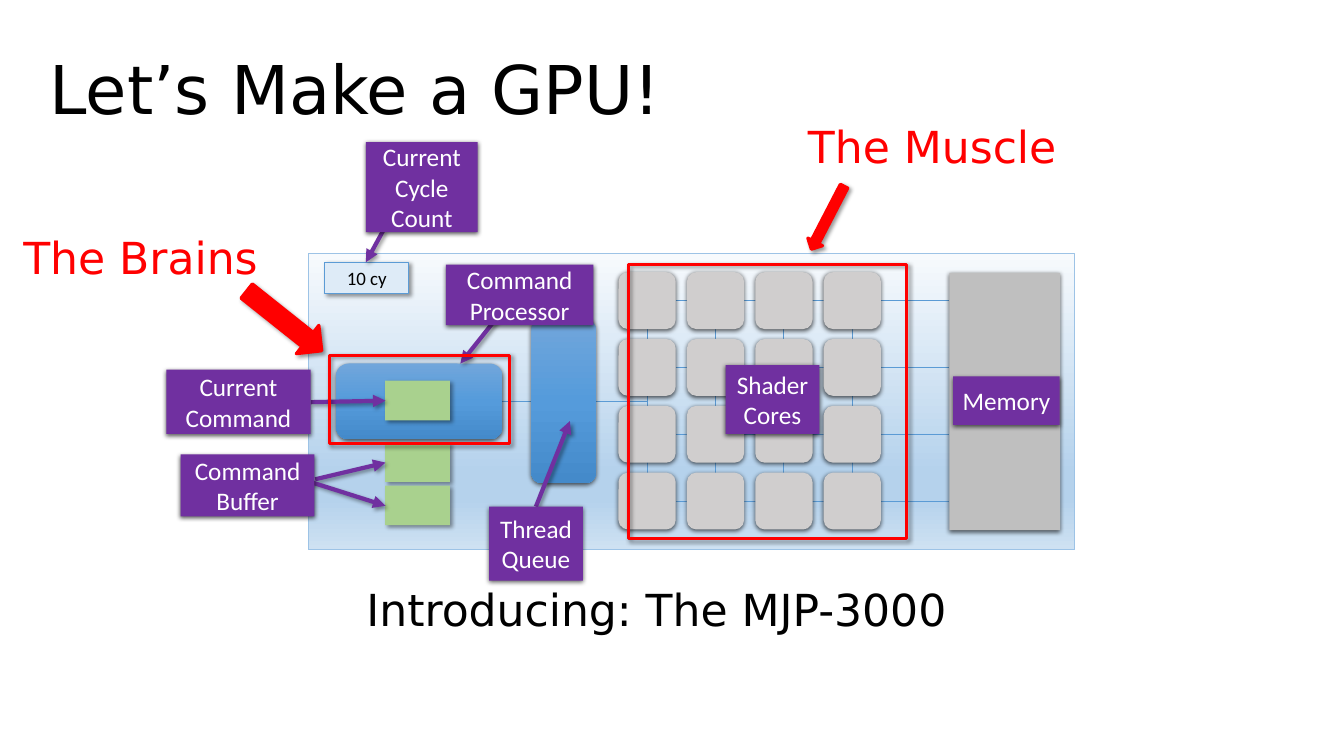
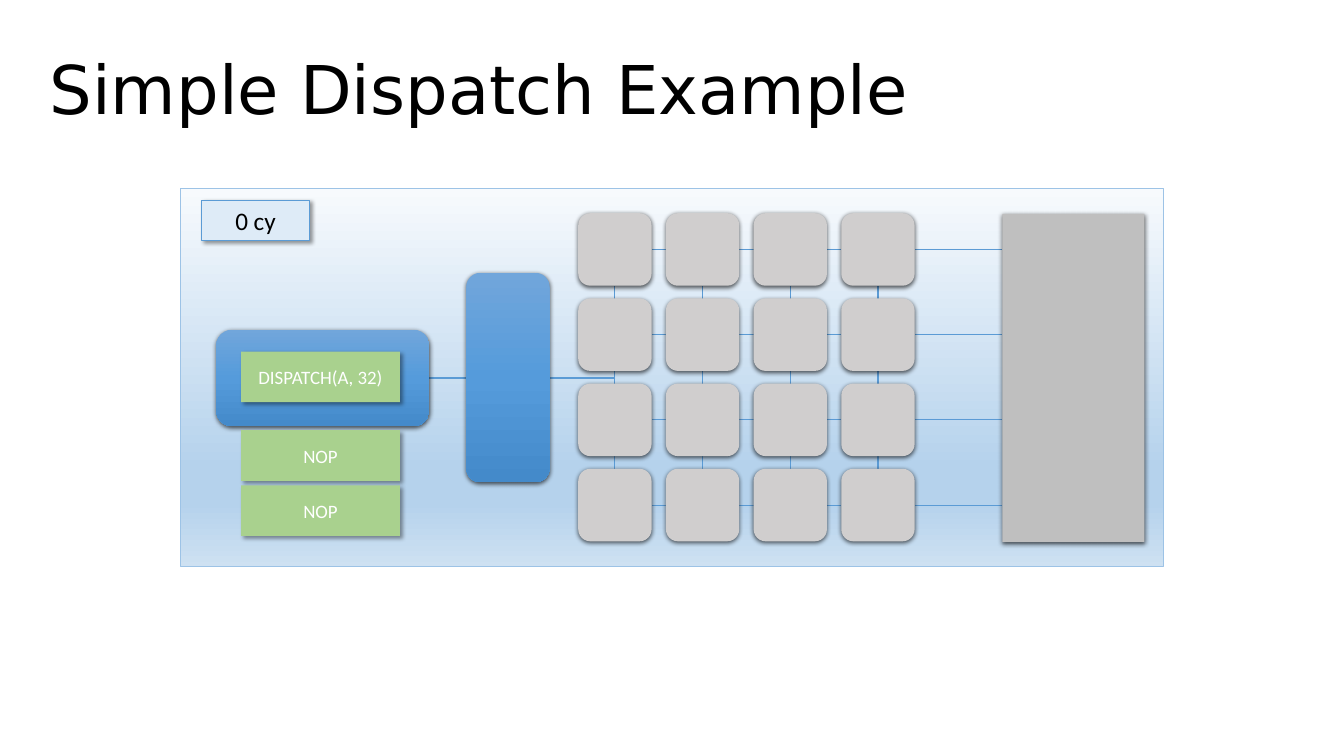
from dataclasses import dataclass

from lxml import etree
from pptx import Presentation
from pptx import util as u
from pptx.dml.color import RGBColor
from pptx.enum import shapes, text
from pptx.oxml.ns import qn

PRESET = shapes.MSO_SHAPE


@dataclass(frozen=True)
class Shadow:
    opacity: int
    blur: float
    distance: float
    angle: int


@dataclass(frozen=True)
class Theme:
    title_font: str = "DejaVu Sans"
    label_font: str = "Calibri"
    title_size: int = 64
    caption_size: int = 42
    label_size: int = 24
    small_size: int = 18
    thin: int = 1
    frame: int = 3
    arrow: int = 4
    black: str = "000000"
    white: str = "FFFFFF"
    red: str = "FF0000"
    purple: str = "7030A0"
    wire: str = "5B9BD5"
    board_edge: str = "9DC3E6"
    core: str = "D0CECE"
    memory: str = "BFBFBF"
    command: str = "A9D18E"
    counter: str = "DEEBF7"
    board: tuple = ((0, "F7FAFD"), (74, "B5D2EC"), (83, "B5D2EC"), (100, "CEE1F2"))
    unit: tuple = ((0, "71A6DB"), (50, "559BDB"), (100, "448ACA"))
    soft: Shadow = Shadow(63, 4.5, 1.5, 90)
    cast: Shadow = Shadow(40, 4, 3, 45)


THEME = Theme()


@dataclass(frozen=True)
class Box:
    """Origin and scale, in inches, of a region on the slide."""
    left: float = 0
    top: float = 0
    scale_x: float = 1
    scale_y: float = 1

    def point(self, x, y):
        return (u.Inches(self.left + x * self.scale_x),
                u.Inches(self.top + y * self.scale_y))

    def area(self, x, y, width, height):
        return (*self.point(x, y), u.Inches(width * self.scale_x),
                u.Inches(height * self.scale_y))


PAGE = Box()


def set_shadow(properties, shadow):
    """Append an effect list, left empty when there is no shadow."""
    effects = etree.SubElement(properties, qn("a:effectLst"))
    if shadow:
        outer = etree.SubElement(
            effects, qn("a:outerShdw"), blurRad=str(u.Pt(shadow.blur)),
            dist=str(u.Pt(shadow.distance)), dir=str(shadow.angle * 60000),
            algn="ctr", rotWithShape="0")
        color = etree.SubElement(outer, qn("a:srgbClr"), val=THEME.black)
        etree.SubElement(color, qn("a:alpha"), val=str(shadow.opacity * 1000))


def set_gradient(shape, stops):
    shape.fill.gradient()
    shape.fill.gradient_angle = 270
    stop_list = shape.element.spPr.find(qn("a:gradFill")).find(qn("a:gsLst"))
    stop_list.clear()
    for position, color in stops:
        stop = etree.SubElement(stop_list, qn("a:gs"), pos=str(position * 1000))
        etree.SubElement(stop, qn("a:srgbClr"), val=color)


def set_line(line, color, width):
    line.color.rgb = RGBColor.from_string(color)
    line.width = u.Pt(width)


def add_run(paragraph, words, size, font, color, shadow=None):
    run = paragraph.add_run()
    run.text = words
    run.font.size = u.Pt(size)
    run.font.color.rgb = RGBColor.from_string(color)
    if shadow:
        set_shadow(run.font.fill._xPr, shadow)
    run.font.name = font


def add_block(container, area, fill=None, line=None, width=THEME.thin, shadow=None,
              preset=PRESET.RECTANGLE, rotation=0):
    """Add a shape; fill is a colour, gradient stops or None."""
    shape = container.add_shape(preset, *area)
    shape.rotation = rotation
    if fill is None:
        shape.fill.background()
    elif isinstance(fill, str):
        shape.fill.solid()
        shape.fill.fore_color.rgb = RGBColor.from_string(fill)
    else:
        set_gradient(shape, fill)
    if line:
        set_line(shape.line, line, width)
    else:
        shape.line.fill.background()
    set_shadow(shape.element.spPr, shadow)
    return shape


def add_label(shape, words, size, color):
    frame = shape.text_frame
    frame.word_wrap = True
    frame.vertical_anchor = text.MSO_ANCHOR.MIDDLE
    paragraph = frame.paragraphs[0]
    paragraph.alignment = text.PP_ALIGN.CENTER
    add_run(paragraph, words, size, THEME.label_font, color)


def add_wire(container, start, end):
    wire = container.add_connector(shapes.MSO_CONNECTOR.STRAIGHT, *start, *end)
    set_line(wire.line, THEME.wire, THEME.thin)
    set_shadow(wire.element.spPr, None)


def add_arrow(container, start, end):
    arrow = container.add_connector(shapes.MSO_CONNECTOR.STRAIGHT, *start, *end)
    set_line(arrow.line, THEME.purple, THEME.arrow)
    etree.SubElement(arrow.line._get_or_add_ln(), qn("a:tailEnd"), type="triangle")
    set_shadow(arrow.element.spPr, THEME.cast)


def add_text(slide, area, words, size, color=THEME.black, shadow=None,
             anchor=text.MSO_ANCHOR.TOP):
    frame = slide.shapes.add_textbox(*area).text_frame
    frame.word_wrap = True
    frame.vertical_anchor = anchor
    add_run(frame.paragraphs[0], words, size, THEME.title_font, color, shadow)


def add_titled_slide(presentation, title):
    slide = presentation.slides.add_slide(presentation.slide_layouts[6])
    add_text(slide, PAGE.area(0.56, 0.4, 16.83, 1.52), title, THEME.title_size,
             anchor=text.MSO_ANCHOR.MIDDLE)
    return slide


def draw_cores(container, box, memory_left):
    """Draw the 4 by 4 core grid with its wires, reaching to the memory."""
    count, width, height = 4, 0.97, 0.96
    lefts = [5.26 + 1.16 * column for column in range(count)]
    tops = [0.32 + 1.127 * row for row in range(count)]
    for left in lefts:
        middle = left + width / 2
        add_wire(container, box.point(middle, tops[0] + height),
                 box.point(middle, tops[-1]))
    for top in tops:
        middle = top + height / 2
        add_wire(container, box.point(lefts[0] + width, middle),
                 box.point(lefts[-1], middle))
        add_wire(container, box.point(lefts[-1] + width, middle),
                 box.point(memory_left, middle))
    for top in tops:
        for left in lefts:
            add_block(container, box.area(left, top, width, height), THEME.core,
                      shadow=THEME.soft, preset=PRESET.ROUNDED_RECTANGLE)


def draw_gpu(container, box, cycles, cycles_size, command_width, commands):
    """Draw the GPU on a 13 by 5 board; commands run from current to last."""
    memory_left, bus = 10.87, 2.5
    add_block(container, box.area(0, 0, 13, 5), THEME.board, THEME.board_edge)
    add_wire(container, box.point(5.75, bus), box.point(4.88, bus))
    add_wire(container, box.point(3.78, bus), box.point(3.29, bus))
    draw_cores(container, box, memory_left)
    for area in ((0.47, 1.86, 2.82, 1.28), (3.78, 1.11, 1.1, 2.77)):
        add_block(container, box.area(*area), THEME.unit, shadow=THEME.soft,
                  preset=PRESET.ROUNDED_RECTANGLE)
    for top, command in zip((2.15, 3.19, 3.92), commands):
        area = box.area(1.85 - command_width / 2, top, command_width, 0.67)
        block = add_block(container, area, THEME.command, shadow=THEME.cast)
        if command:
            add_label(block, command, THEME.small_size, THEME.white)
    counter = add_block(container, box.area(0.28, 0.15, 1.42, 0.53), THEME.counter,
                        THEME.wire, shadow=THEME.cast)
    add_label(counter, cycles, cycles_size, THEME.black)
    add_block(container, box.area(memory_left, 0.33, 1.88, 4.34), THEME.memory,
              shadow=THEME.soft)


def draw_callouts(slide, box):
    pointers = (
        ((6.64, 4.12), (6.09, 4.81)),
        ((5.07, 3.05), (4.84, 3.47)),
        ((4.17, 6.34), (5.1, 6.12)),
        ((4.09, 6.37), (5.1, 6.69)),
        ((4.11, 5.32), (5.1, 5.3)),
        ((7.09, 6.7), (7.54, 5.57)),
    )
    callouts = (
        ("Current Cycle Count", (4.84, 1.88, 1.48, 1.19)),
        ("Shader Cores", (9.6, 4.83, 1.24, 0.91)),
        ("Memory", (12.61, 4.98, 1.41, 0.64)),
        ("Command Buffer", (2.39, 6.01, 1.77, 0.82)),
        ("Current Command", (2.2, 4.89, 1.91, 0.85)),
        ("Command Processor", (5.9, 3.5, 1.95, 0.8)),
        ("Thread Queue", (6.47, 6.7, 1.24, 0.98)),
    )
    for start, end in pointers:
        add_arrow(slide.shapes, box.point(*start), box.point(*end))
    for words, area in callouts:
        callout = add_block(slide.shapes, box.area(*area), THEME.purple,
                            shadow=THEME.soft)
        add_label(callout, words, THEME.label_size, THEME.white)


def draw_highlights(slide, box):
    """Frame the two halves of the GPU, each with a caption and a block arrow."""
    highlights = (
        ("The Muscle", (10.59, 1.53), (8.31, 3.5, 3.68, 3.62),
         (10.84, 2.41, 0.22, 0.94), 27.4),
        ("The Brains", (0.21, 3), (4.36, 4.7, 2.38, 1.17),
         (3.52, 3.61, 0.48, 1.27), 308.5),
    )
    for words, corner, frame, arrow, rotation in highlights:
        add_block(slide.shapes, box.area(*frame), None, THEME.red, THEME.frame,
                  THEME.cast)
        add_text(slide, box.area(*corner, 3.55, 0.81), words, THEME.caption_size,
                 THEME.red, THEME.cast)
        add_block(slide.shapes, box.area(*arrow), THEME.red, THEME.red, THEME.frame,
                  THEME.cast, PRESET.DOWN_ARROW, rotation)


def build_overview(presentation):
    slide = add_titled_slide(presentation, "Let’s Make a GPU!")
    draw_gpu(slide.shapes, Box(4.08, 3.35, 0.78, 0.784), "10 cy", THEME.small_size,
             1.1, ("", "", ""))
    draw_callouts(slide, PAGE)
    add_text(slide, PAGE.area(4.75, 7.66, 8.45, 0.81), "Introducing: The MJP-3000",
             THEME.caption_size)
    draw_highlights(slide, PAGE)


def build_dispatch_example(presentation):
    slide = add_titled_slide(presentation, "Simple Dispatch Example")
    gpu = slide.shapes.add_group_shape()
    draw_gpu(gpu.shapes, Box(2.39, 2.5), "0 cy", THEME.label_size, 2.1,
             ("DISPATCH(A, 32)", "NOP", "NOP"))


def main():
    presentation = Presentation()
    presentation.slide_width = u.Inches(17.78)
    presentation.slide_height = u.Inches(10)
    build_overview(presentation)
    build_dispatch_example(presentation)
    presentation.save("out.pptx")


if __name__ == "__main__":
    main()
